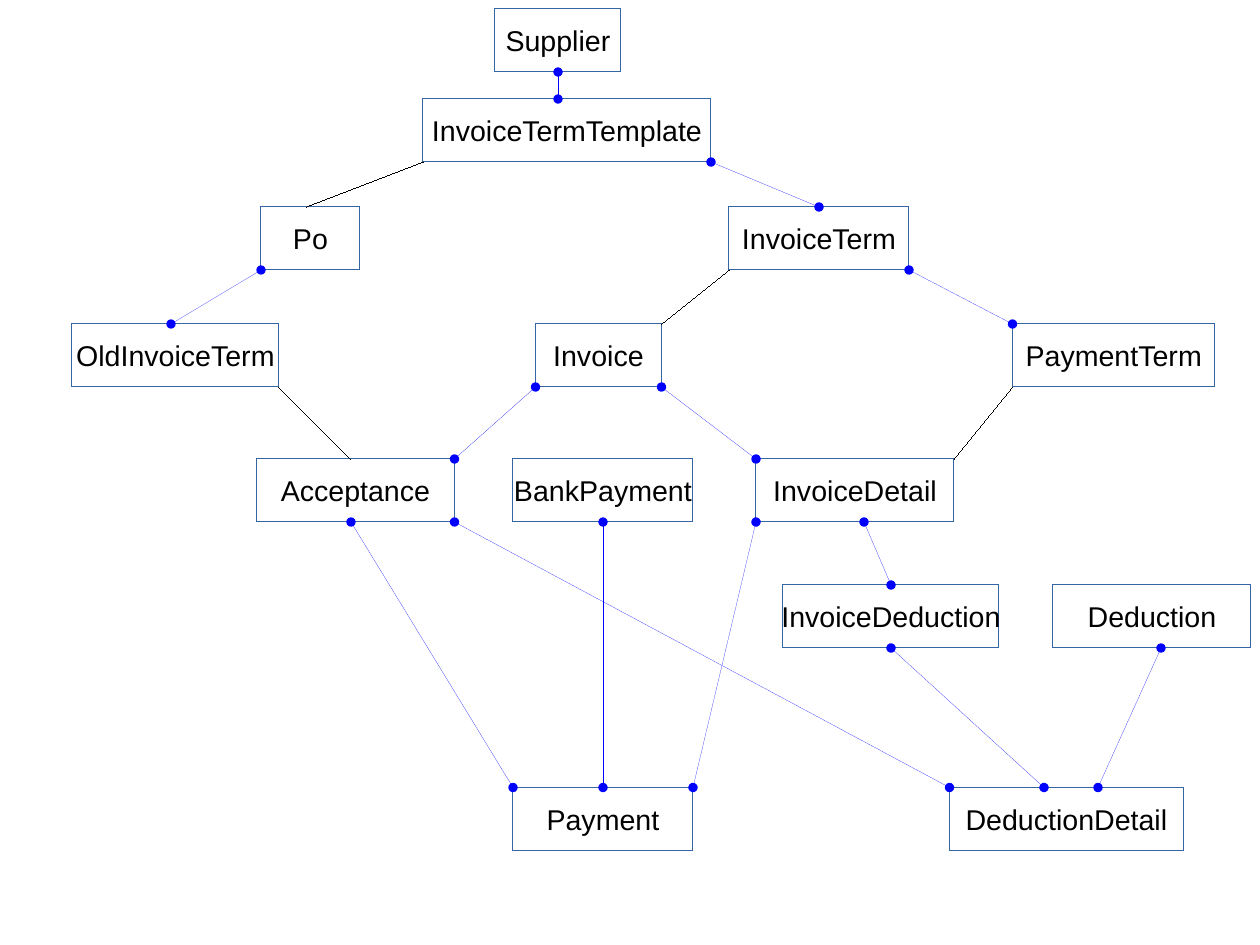
import pptx
import pptx.dml.color
import pptx.enum.shapes
import pptx.enum.text
import pptx.oxml
import pptx.oxml.ns
import pptx.util

COLUMNS, ROWS = 280, 210
CELL = pptx.util.Cm(0.1)
BOX_HEIGHT = 14
TOP, BOTTOM = 0, 2

# Entities by row: name, left column, width in columns
ENTITY_ROWS = {
    2: [("Supplier", 110, 28)],
    22: [("InvoiceTermTemplate", 94, 64)],
    46: [("Po", 58, 22), ("InvoiceTerm", 162, 40)],
    72: [("OldInvoiceTerm", 16, 46), ("Invoice", 119, 28), ("PaymentTerm", 225, 45)],
    102: [("Acceptance", 57, 44), ("BankPayment", 114, 40), ("InvoiceDetail", 168, 44)],
    130: [("InvoiceDeduction", 174, 48), ("Deduction", 234, 44)],
    175: [("Payment", 114, 40), ("DeductionDetail", 211, 52)],
}

# Relations from a bottom edge to a top edge: entity and column at each end
DOTTED_LINKS = [
    ("Supplier", 124, "InvoiceTermTemplate", 124),
    ("InvoiceTermTemplate", 158, "InvoiceTerm", 182),
    ("InvoiceTerm", 202, "PaymentTerm", 225),
    ("Po", 58, "OldInvoiceTerm", 38),
    ("Invoice", 119, "Acceptance", 101),
    ("Invoice", 147, "InvoiceDetail", 168),
    ("BankPayment", 134, "Payment", 134),
    ("Acceptance", 78, "Payment", 114),
    ("InvoiceDetail", 168, "Payment", 154),
    ("InvoiceDetail", 192, "InvoiceDeduction", 198),
    ("Deduction", 258, "DeductionDetail", 244),
    ("Acceptance", 101, "DeductionDetail", 211),
    ("InvoiceDeduction", 198, "DeductionDetail", 232),
]
PLAIN_LINKS = [
    ("InvoiceTermTemplate", 94, "Po", 68),
    ("InvoiceTerm", 162, "Invoice", 147),
    ("OldInvoiceTerm", 62, "Acceptance", 78),
    ("PaymentTerm", 225, "InvoiceDetail", 212),
]


def color(hex_string):
    return pptx.dml.color.RGBColor.from_string(hex_string)


class Diagram:
    font_name = "Arial"
    font_size = pptx.util.Pt(18)
    text_color = "000000"
    box_fill = "FFFFFF"
    box_line = "3465A4"

    def __init__(self, slide):
        self.slide = slide
        self.boxes = {}

    def hairline(self, shape, line_color):
        shape.line.color.rgb = color(line_color)
        # The width property drops a zero, so write it to the XML
        line = shape.element.spPr.find(pptx.oxml.ns.qn("a:ln"))
        line.set("w", "0")
        return line

    def entity(self, name, column, row, width):
        shape = self.slide.shapes.add_shape(
            pptx.enum.shapes.MSO_SHAPE.RECTANGLE,
            column * CELL, row * CELL, width * CELL, BOX_HEIGHT * CELL)
        shape.shadow.inherit = False
        shape.fill.solid()
        shape.fill.fore_color.rgb = color(self.box_fill)
        self.hairline(shape, self.box_line)
        text_frame = shape.text_frame
        text_frame.text = name
        text_frame.word_wrap = False
        text_frame.vertical_anchor = pptx.enum.text.MSO_ANCHOR.MIDDLE
        paragraph = text_frame.paragraphs[0]
        paragraph.alignment = pptx.enum.text.PP_ALIGN.CENTER
        font = paragraph.runs[0].font
        font.name = self.font_name
        font.size = self.font_size
        font.color.rgb = color(self.text_color)
        self.boxes[name] = shape

    def link(self, upper_name, upper_column, lower_name, lower_column, line_color, dotted):
        upper, lower = self.boxes[upper_name], self.boxes[lower_name]
        connector = self.slide.shapes.add_connector(
            pptx.enum.shapes.MSO_CONNECTOR.STRAIGHT,
            upper_column * CELL, upper.top + upper.height,
            lower_column * CELL, lower.top)
        line = self.hairline(connector, line_color)
        # Join the ends that sit at the middle of a side
        if upper.left + upper.width // 2 == upper_column * CELL:
            connector.begin_connect(upper, BOTTOM)
        if lower.left + lower.width // 2 == lower_column * CELL:
            connector.end_connect(lower, TOP)
        # Round ends, and no shadow
        if dotted:
            for tag in ("a:headEnd", "a:tailEnd"):
                end = pptx.oxml.xmlchemy.OxmlElement(tag)
                end.set("type", "oval")
                line.append(end)
        connector.element.spPr.append(pptx.oxml.xmlchemy.OxmlElement("a:effectLst"))


def main():
    presentation = pptx.Presentation()
    presentation.slide_width = COLUMNS * CELL
    presentation.slide_height = ROWS * CELL
    blank_layout = presentation.slide_layouts[6]
    diagram = Diagram(presentation.slides.add_slide(blank_layout))

    # Entities
    for row, entities in ENTITY_ROWS.items():
        for name, column, width in entities:
            diagram.entity(name, column, row, width)

    # Relations
    for link in DOTTED_LINKS:
        diagram.link(*link, line_color="0000FF", dotted=True)
    for link in PLAIN_LINKS:
        diagram.link(*link, line_color="000000", dotted=False)

    presentation.save("out.pptx")


if __name__ == "__main__":
    main()
